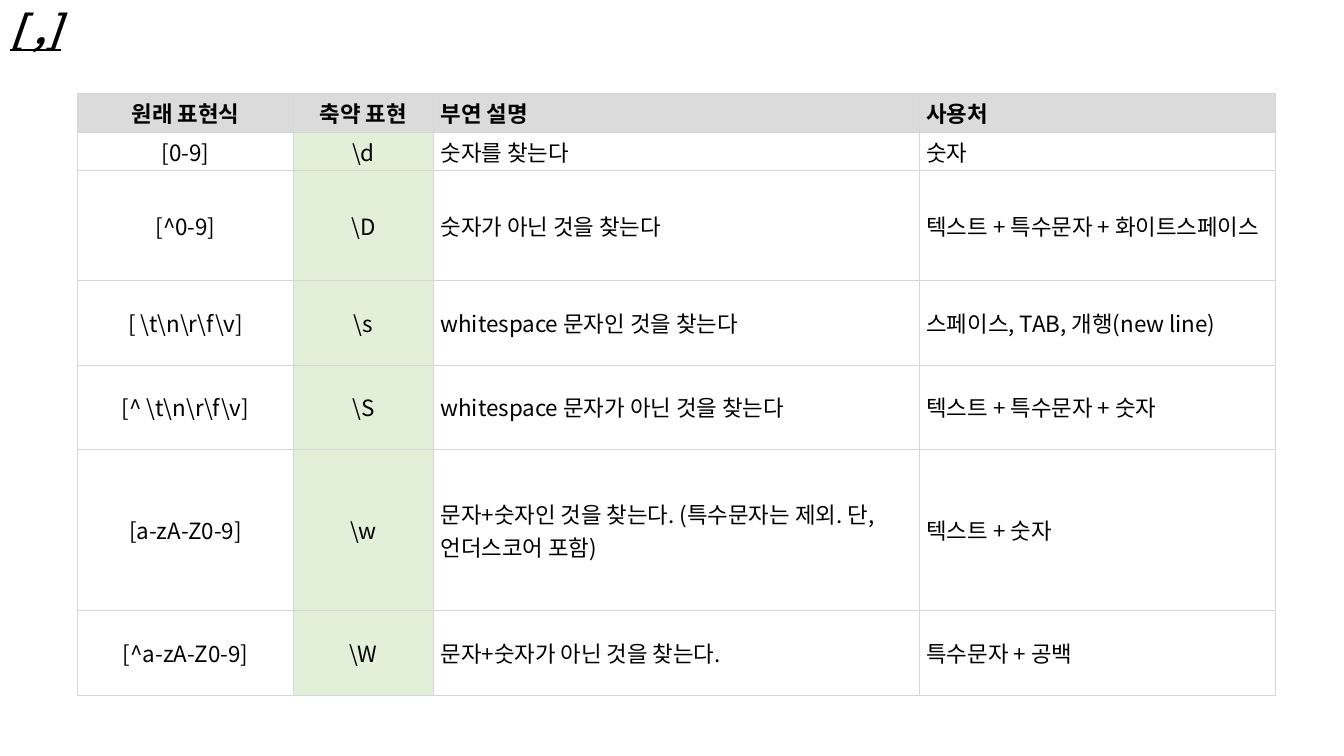
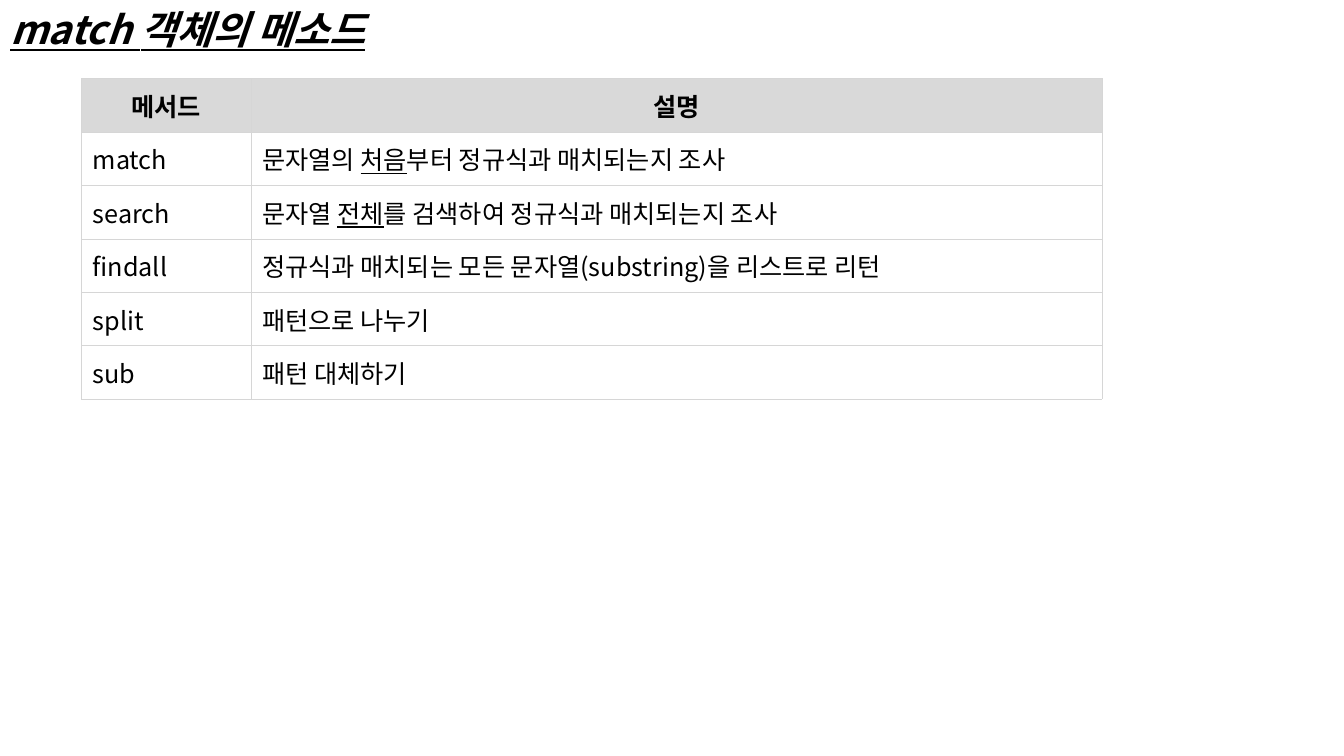
from dataclasses import dataclass

from lxml import etree
from pptx import Presentation
from pptx.dml.color import RGBColor
from pptx.enum import text
from pptx.oxml import ns
from pptx.util import Inches, Pt


@dataclass(frozen=True)
class Theme:
    font: str = "Noto Sans CJK JP"
    ink: str = "000000"
    rule: str = "D6D6D6"
    green: str = "E2F0D9"
    head: int = 28


look = Theme()
left, mid = text.PP_ALIGN.LEFT, text.PP_ALIGN.CENTER


def write(frame, words, size, bold=False, slant=False, under=False, align=left):
    para = frame.paragraphs[0]
    para.alignment = align
    for i, part in enumerate(words.split("|")):
        run = para.add_run()
        run.text = part
        font = run.font
        font.name, font.size = look.font, Pt(size)
        font.bold, font.italic = bold, slant
        font.underline = under or i % 2 == 1
        font.color.rgb = RGBColor.from_string(look.ink)
        east = etree.SubElement(run._r.get_or_add_rPr(), ns.qn("a:ea"))
        east.set("typeface", look.font)


def frame_cell(cell):
    props = cell._tc.get_or_add_tcPr()
    for i, side in enumerate("LRTB"):
        line = etree.Element(ns.qn(f"a:ln{side}"), w=str(Pt(0.6)))
        fill = etree.SubElement(line, ns.qn("a:solidFill"))
        etree.SubElement(fill, ns.qn("a:srgbClr"), val=look.rule)
        props.insert(i, line)


pages = [
    dict(
        title="[ ,]", spot=(0.77, 0.93), size=16, pad=(0.07, 0.03),
        cols=[2.14, 1.39, 4.82, 3.53],
        rows=[0.34, 0.34, 1.09, 0.84, 0.84, 1.6, 0.84],
        band="DBDBDB", heads=[mid, mid, left, left],
        body=[mid, mid, left, left], tint=1,
        data=[
            ["원래 표현식", "축약 표현", "부연 설명", "사용처"],
            ["[0-9]", r"\d", "숫자를 찾는다", "숫자"],
            ["[^0-9]", r"\D", "숫자가 아닌 것을 찾는다",
             "텍스트 + 특수문자 + 화이트스페이스"],
            [r"[ \t\n\r\f\v]", r"\s", "whitespace 문자인 것을 찾는다",
             "스페이스, TAB, 개행(new line)"],
            [r"[^ \t\n\r\f\v]", r"\S", "whitespace 문자가 아닌 것을 찾는다",
             "텍스트 + 특수문자 + 숫자"],
            ["[a-zA-Z0-9]", r"\w",
             "문자+숫자인 것을 찾는다. (특수문자는 제외. 단, 언더스코어 포함)",
             "텍스트 + 숫자"],
            ["[^a-zA-Z0-9]", r"\W", "문자+숫자가 아닌 것을 찾는다.",
             "특수문자 + 공백"],
        ],
    ),
    dict(
        title="match 객체의 메소드", spot=(0.81, 0.78), size=18, pad=(0.11, 0.05),
        cols=[1.68, 8.44], rows=[0.53] * 6,
        band="D9D9D9", heads=[mid, mid], body=[left, left], tint=None,
        data=[
            ["메서드", "설명"],
            ["match", "문자열의 |처음|부터 정규식과 매치되는지 조사"],
            ["search", "문자열 |전체|를 검색하여 정규식과 매치되는지 조사"],
            ["findall", "정규식과 매치되는 모든 문자열(substring)을 리스트로 리턴"],
            ["split", "패턴으로 나누기"],
            ["sub", "패턴 대체하기"],
        ],
    ),
]

deck = Presentation()
deck.slide_width, deck.slide_height = Inches(13.33), Inches(7.5)

for page in pages:
    slide = deck.slides.add_slide(deck.slide_layouts[5])
    title = slide.shapes.title
    title.left, title.top = Inches(0), Inches(0)
    title.width, title.height = Inches(5.26), Inches(0.57)
    frame = title.text_frame
    frame.auto_size = text.MSO_AUTO_SIZE.NONE
    frame.vertical_anchor = text.MSO_ANCHOR.MIDDLE
    write(frame, page["title"], look.head, bold=True, slant=True, under=True)

    cols, rows = page["cols"], page["rows"]
    x, y = page["spot"]
    table = slide.shapes.add_table(
        len(rows), len(cols), Inches(x), Inches(y),
        Inches(sum(cols)), Inches(sum(rows))).table
    table.horz_banding = False
    for col, width in zip(table.columns, cols):
        col.width = Inches(width)
    for row, height in zip(table.rows, rows):
        row.height = Inches(height)

    side, edge = page["pad"]
    for r, line in enumerate(page["data"]):
        top = r == 0
        for c, words in enumerate(line):
            cell = table.cell(r, c)
            cell.margin_left = cell.margin_right = Inches(side)
            cell.margin_top = cell.margin_bottom = Inches(edge)
            cell.vertical_anchor = text.MSO_ANCHOR.MIDDLE
            color = page["band"] if top else look.green if c == page["tint"] else None
            if color:
                cell.fill.solid()
                cell.fill.fore_color.rgb = RGBColor.from_string(color)
            else:
                cell.fill.background()
            frame_cell(cell)
            align = page["heads" if top else "body"][c]
            write(cell.text_frame, words, page["size"], bold=top, align=align)

deck.save("out.pptx")
